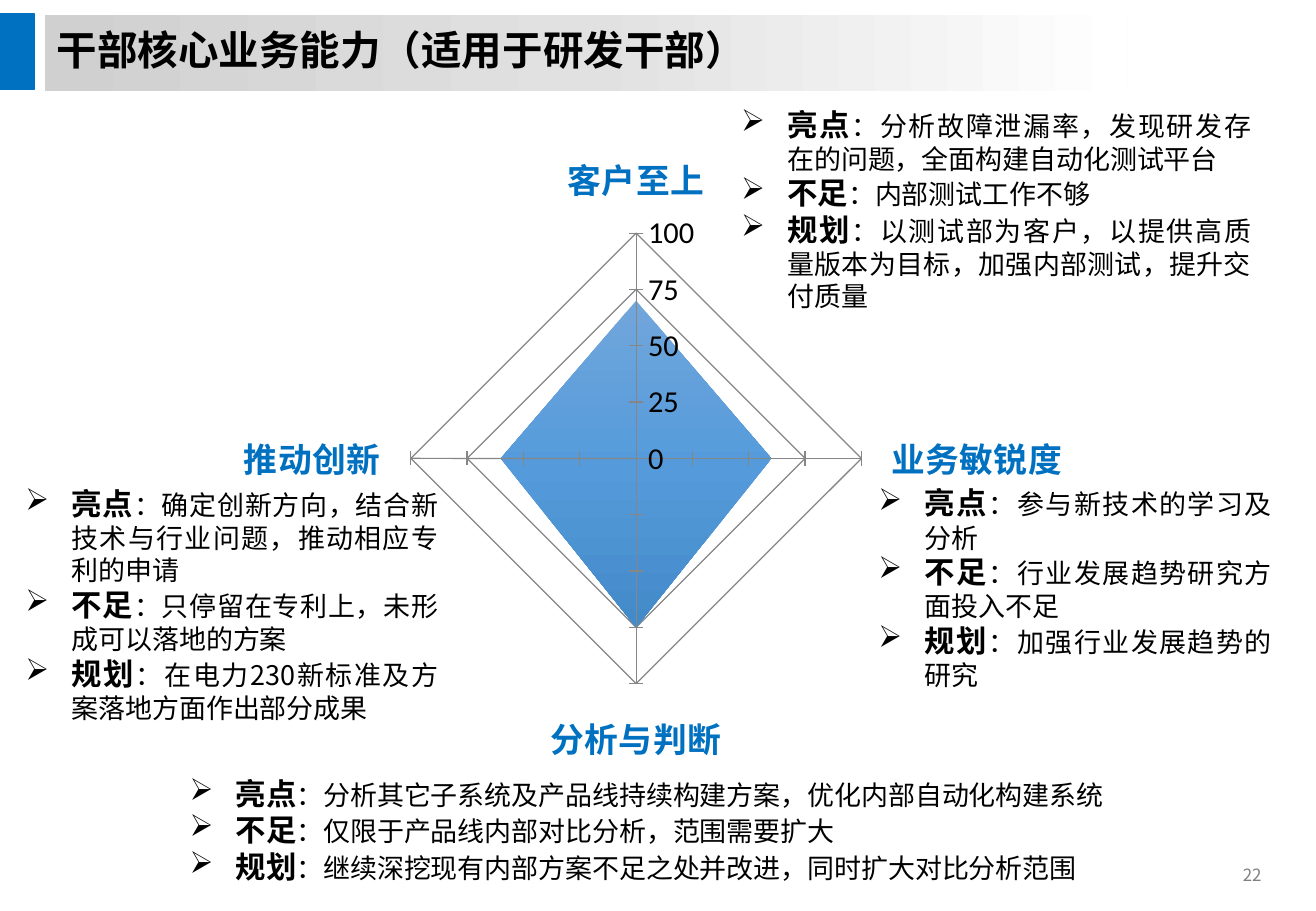
from copy import deepcopy

from pptx import Presentation
from pptx.chart.data import CategoryChartData
from pptx.dml.color import RGBColor
from pptx.enum.chart import XL_CHART_TYPE, XL_TICK_LABEL_POSITION, XL_TICK_MARK
from pptx.enum.shapes import MSO_SHAPE
from pptx.enum.text import MSO_ANCHOR, MSO_AUTO_SIZE, PP_ALIGN
from pptx.oxml import parse_xml
from pptx.oxml.ns import nsdecls, qn
from pptx.util import Pt

RADAR = XL_CHART_TYPE.RADAR_FILLED
CROSS, NO_TICK = XL_TICK_MARK.CROSS, XL_TICK_MARK.NONE
NEXT_TO_AXIS = XL_TICK_LABEL_POSITION.NEXT_TO_AXIS
RECTANGLE = MSO_SHAPE.RECTANGLE
MIDDLE, TOP = MSO_ANCHOR.MIDDLE, MSO_ANCHOR.TOP
FIT_SHAPE = MSO_AUTO_SIZE.SHAPE_TO_FIT_TEXT
JUSTIFY, LEFT = PP_ALIGN.JUSTIFY, PP_ALIGN.LEFT

BLACK = RGBColor(0x00, 0x00, 0x00)
BLUE = RGBColor(0x00, 0x70, 0xC0)
GRAY = RGBColor(0x80, 0x80, 0x80)
GRID_GRAY = RGBColor(0x86, 0x86, 0x86)
TITLE_FADE = [RGBColor(0xD0, 0xD0, 0xD0), RGBColor(0xE1, 0xE1, 0xE1), RGBColor(0xFF, 0xFF, 0xFF)]
RADAR_FADE = [RGBColor(0x71, 0xA6, 0xDB), RGBColor(0x55, 0x9B, 0xDB), RGBColor(0x43, 0x8A, 0xC9)]

PX = 9144  # 100 px to the inch
TEXT_FONT = "Noto Sans CJK SC"
NUMBER_FONT = "Calibri"
INDENT = 38

SCORES = {"客户至上": 70, "业务敏锐度": 60, "分析与判断": 75, "推动创新": 60}
HEADINGS = ["亮点", "不足", "规划"]
REVIEWS = [
    ((610, 87, 420, 170), [
        "分析故障泄漏率，发现研发存在的问题，全面构建自动化测试平台",
        "内部测试工作不够",
        "以测试部为客户，以提供高质量版本为目标，加强内部测试，提升交付质量"]),
    ((723, 399, 324, 173), [
        "参与新技术的学习及分析",
        "行业发展趋势研究方面投入不足",
        "加强行业发展趋势的研究"]),
    ((21, 399, 340, 205), [
        "确定创新方向，结合新技术与行业问题，推动相应专利的申请",
        "只停留在专利上，未形成可以落地的方案",
        "在电力230新标准及方案落地方面作出部分成果"]),
    ((156, 638, 772, 99), [
        "分析其它子系统及产品线持续构建方案，优化内部自动化构建系统",
        "仅限于产品线内部对比分析，范围需要扩大",
        "继续深挖现有内部方案不足之处并改进，同时扩大对比分析范围"]),
]


def set_font(font, size, color=BLACK, bold=False, name=TEXT_FONT):
    font.name, font.size, font.bold = name, Pt(size), bold
    font.color.rgb = color


def add_east_asian_fonts(root):
    """Give Chinese characters the same font as Latin ones."""
    for latin in list(root.iter(qn("a:latin"))):
        east_asian = parse_xml(f'<a:ea {nsdecls("a")}/>')
        east_asian.set("typeface", latin.get("typeface"))
        latin.addnext(east_asian)


def fade(fill, owner, colors, angle):
    """Fill with three evenly spaced colours; owner is the XML that holds the fill."""
    fill.gradient()
    fill.gradient_angle = angle
    stops = owner.find(".//" + qn("a:gsLst"))
    stops.insert(1, deepcopy(stops[0]))
    for index, (stop, color) in enumerate(zip(fill.gradient_stops, colors)):
        stop.color.rgb = color
        stop.position = index / 2


class Page:
    def __init__(self, width, height):
        self.deck = Presentation()
        self.deck.slide_width, self.deck.slide_height = width * PX, height * PX
        self.slide = self.deck.slides.add_slide(self.deck.slide_layouts[6])
        self.shapes = self.slide.shapes

    def rectangle(self, box):
        shape = self.shapes.add_shape(RECTANGLE, *(n * PX for n in box))
        shape.shadow.inherit = False
        return shape

    def accent(self, box):
        shape = self.rectangle(box)
        shape.fill.solid()
        shape.fill.fore_color.rgb = BLUE
        shape.line.color.rgb = BLUE
        shape.line.width = Pt(0.75)

    def title(self, box, text):
        shape = self.rectangle(box)
        fade(shape.fill, shape.element, TITLE_FADE, 0)
        shape.line.fill.background()
        frame = shape.text_frame
        frame.text = text
        frame.vertical_anchor = MIDDLE
        para = frame.paragraphs[0]
        para.alignment, para.line_spacing = LEFT, 0.9
        set_font(para.runs[0].font, 24, bold=True)

    def page_number(self, box, text):
        frame = self.shapes.add_textbox(*(n * PX for n in box)).text_frame
        frame.text = text
        frame.word_wrap, frame.auto_size = False, FIT_SHAPE
        set_font(frame.paragraphs[0].runs[0].font, 10, GRAY)

    def review(self, box, remarks):
        frame = self.shapes.add_textbox(*(n * PX for n in box)).text_frame
        frame.word_wrap, frame.vertical_anchor = True, TOP
        frame.margin_left = frame.margin_top = frame.margin_right = frame.margin_bottom = 0
        for index, (heading, remark) in enumerate(zip(HEADINGS, remarks)):
            para = frame.add_paragraph() if index else frame.paragraphs[0]
            para.text = heading
            para.alignment = JUSTIFY
            set_font(para.runs[0].font, 18, bold=True)
            span = para.add_run()
            span.text = f"：{remark}"
            set_font(span.font, 16)
            properties = para._p.get_or_add_pPr()
            properties.set("marL", str(INDENT * PX))
            properties.set("indent", str(-INDENT * PX))
            properties.append(parse_xml(f'<a:buChar {nsdecls("a")} char="➢"/>'))

    def radar(self, box, plot_box, scores):
        """Draw the radar; plot_box places its plot within box, in px."""
        data = CategoryChartData()
        data.categories = list(scores)
        data.add_series("Series 1", list(scores.values()))
        chart = self.shapes.add_chart(RADAR, *(n * PX for n in box), data).chart
        chart.has_legend = chart.has_title = False
        set_font(chart.font, 18, name=NUMBER_FONT)
        plot = chart.plots[0]
        plot.vary_by_categories = False
        area = plot.series[0].format
        fade(area.fill, chart.element, RADAR_FADE, 270)
        area.line.fill.background()

        names, values = chart.category_axis, chart.value_axis
        set_font(names.tick_labels.font, 20, BLUE, True)
        names.major_tick_mark = NO_TICK
        names.format.line.fill.background()
        values.minimum_scale, values.maximum_scale, values.major_unit = 0, 100, 25
        values.major_tick_mark, values.minor_tick_mark = CROSS, NO_TICK
        values.tick_label_position = NEXT_TO_AXIS
        for axis in (names, values):
            axis.has_major_gridlines = True
            axis.major_gridlines.format.line.color.rgb = GRID_GRAY
        values.format.line.color.rgb = GRID_GRAY
        self.place_plot(chart, box, plot_box)
        add_east_asian_fonts(chart.element)

    def place_plot(self, chart, box, plot_box):
        left, top, width, height = plot_box
        shares = {"x": left / box[2], "y": top / box[3], "w": width / box[2], "h": height / box[3]}
        marks = "".join(f'<c:{key} val="{share:.4f}"/>' for key, share in shares.items())
        plot_area = chart.element.find(".//" + qn("c:plotArea"))
        for layout in plot_area.findall(qn("c:layout")):
            plot_area.remove(layout)
        plot_area.insert(0, parse_xml(
            f'<c:layout {nsdecls("c")}><c:manualLayout><c:layoutTarget val="inner"/>'
            f'<c:xMode val="edge"/><c:yMode val="edge"/>{marks}</c:manualLayout></c:layout>'))

    def save(self):
        add_east_asian_fonts(self.shapes.element)
        self.deck.save("out.pptx")


def main():
    page = Page(1083, 750)
    page.page_number((1013, 707, 39, 27), "22")
    page.accent((-3, 11, 31, 63))
    page.title((37, 12, 891, 63), "干部核心业务能力（适用于研发干部）")
    page.radar((132, 106, 811, 543), (206, 86, 371, 371), SCORES)
    for box, remarks in REVIEWS:
        page.review(box, remarks)
    page.save()


if __name__ == "__main__":
    main()
